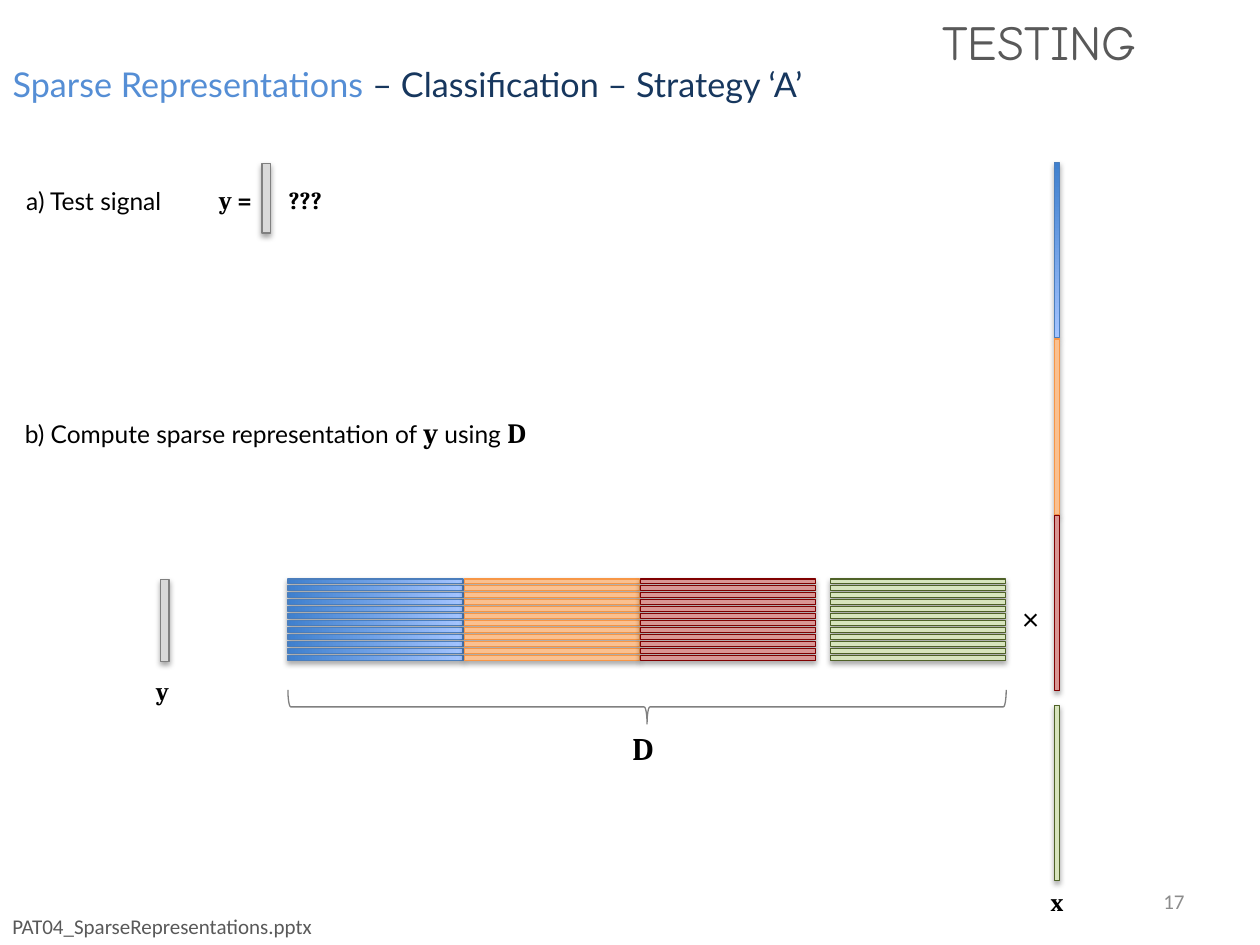
"""Build the slide on classification with sparse representations."""
from lxml import etree
from pptx import Presentation
from pptx.dml.color import RGBColor
from pptx.enum.shapes import MSO_SHAPE
from pptx.enum.text import MSO_ANCHOR, MSO_AUTO_SIZE, PP_ALIGN
from pptx.oxml.ns import qn
from pptx.util import Cm, Pt

RECTANGLE, BRACE = MSO_SHAPE.RECTANGLE, MSO_SHAPE.LEFT_BRACE
TOP, MIDDLE = MSO_ANCHOR.TOP, MSO_ANCHOR.MIDDLE
LEFT, RIGHT = PP_ALIGN.LEFT, PP_ALIGN.RIGHT
FIXED = MSO_AUTO_SIZE.NONE

COLORS = {
    "black": "000000", "gray": "595959", "number": "8C8C8C",
    "sky": "558ED5", "navy": "17375E",
    "signal": "D9D9D9", "signal line": "808080",
    "blue dark": "3F80CE", "blue light": "A4C4FF", "blue line": "4B7EBC",
    "orange": "FAC090", "orange line": "F79646",
    "red": "D99694", "red line": "800000",
    "green": "D7E4BD", "green line": "4F6228",
}

TITLE = [("Sparse Representations ", "sky"), ("– Classification – Strategy ‘A’", "navy")]
LABELS = [
    ("a) Test signal", (0.28, 3.63, 3.43, 0.86), "Lato", 14, False, "black"),
    ("y =\t???", (4.17, 3.61, 3.61, 0.86), "Cambria", 14, True, "black"),
    ("D", (12.5, 14.58, 1.09, 1.02), "Cambria", 18, True, "black"),
    ("y", (2.9, 13.51, 0.84, 0.86), "Cambria", 14, True, "black"),
    ("x", (20.93, 17.75, 0.84, 0.86), "Cambria", 14, True, "black"),
    ("×", (20.37, 11.96, 0.84, 1.02), "Calibri", 18, False, "black"),
    ("TESTING", (18.75, 0.1, 5.69, 1.45), "Comic Neue", 28, False, "gray"),
    ("PAT04_SparseRepresentations.pptx", (0, 18.29, 6.63, 0.76), "Calibri", 12, False, "gray"),
]
STEP_B = [
    ("b) Compute sparse representation of ", "Lato", 14, False),
    ("y", "Cambria", 16, True),
    (" using ", "Lato", 14, False),
    ("D", "Cambria", 16, True),
]
SIGNALS = [(5.28, 3.3, 0.18, 1.4), (3.23, 11.68, 0.18, 1.65)]

CLASSES = [
    (("blue dark", "blue light"), "blue line", 0),
    (("orange",), "orange line", 3.56),
    (("red",), "red line", 7.11),
    (("green",), "green line", 10.94),
]
BAR_WIDTH, BAR_LENGTH = 0.1, 3.53
ROWS, ROW_PITCH = 12, 0.14
DICTIONARY_X, DICTIONARY_Y = 7.57, 11.72
VECTOR_X, VECTOR_Y = 21.31, 5.04


def rgb(name):
    return RGBColor.from_string(COLORS[name])


def style_font(font, face, size, bold, color):
    font.name, font.size, font.bold = face, Pt(size), bold
    font.color.rgb = rgb(color)


def add_box(slide, place, anchor=TOP):
    box = slide.shapes.add_textbox(*map(Cm, place))
    box.text_frame.word_wrap = True
    box.text_frame.vertical_anchor = anchor
    return box.text_frame.paragraphs[0]


def add_label(slide, text, place, face, size, bold, color, anchor=TOP, align=LEFT):
    para = add_box(slide, place, anchor)
    para.alignment = align
    if "\t" in text:
        tabs = etree.SubElement(para._p.get_or_add_pPr(), qn("a:tabLst"))
        etree.SubElement(tabs, qn("a:tab"), pos=str(Cm(1.4)), algn="l")
    para.add_run().text = text
    if "\t" in text:
        para.text = text
    style_font(para.font, face, size, bold, color)


def add_bar(slide, place, fills, line, rotation=0):
    bar = slide.shapes.add_shape(RECTANGLE, *map(Cm, place))
    bar.rotation = rotation
    if len(fills) > 1:
        bar.fill.gradient()
        bar.fill.gradient_angle = 90
        for stop, fill, position in zip(bar.fill.gradient_stops, fills, (0, 1)):
            stop.color.rgb, stop.position = rgb(fill), position
    else:
        bar.fill.solid()
        bar.fill.fore_color.rgb = rgb(fills[0])
    bar.line.color.rgb, bar.line.width = rgb(line), Pt(0.75)
    bar.shadow.inherit = False
    effects = bar._element.spPr.find(qn("a:effectLst"))
    shadow = etree.SubElement(effects, qn("a:outerShdw"), blurRad=str(Pt(3.1)),
                              dist=str(Pt(1.8)), dir="5400000", rotWithShape="0")
    color = etree.SubElement(shadow, qn("a:srgbClr"), val=COLORS["black"])
    etree.SubElement(color, qn("a:alpha"), val="35000")


def add_class_bar(slide, center_x, center_y, fills, line, rotation):
    place = (center_x - BAR_WIDTH / 2, center_y - BAR_LENGTH / 2, BAR_WIDTH, BAR_LENGTH)
    add_bar(slide, place, fills, line, rotation)


def add_title(slide):
    title = slide.shapes.title
    title.left, title.top, title.width, title.height = map(Cm, (0, 0.1, 19.3, 3.2))
    frame = title.text_frame
    frame.auto_size, frame.vertical_anchor = FIXED, MIDDLE
    para = frame.paragraphs[0]
    para.alignment = LEFT
    for text, color in TITLE:
        span = para.add_run()
        span.text = text
        span.font.color.rgb = rgb(color)
    para.font.name, para.font.size = "Lato", Pt(19.5)


def main():
    deck = Presentation()
    deck.slide_width, deck.slide_height = Cm(25.4), Cm(19.05)
    slide = deck.slides.add_slide(deck.slide_layouts[5])
    add_title(slide)

    for place in SIGNALS:
        add_bar(slide, place, ("signal",), "signal line")
    for fills, line, offset in CLASSES:
        for row in range(ROWS):
            add_class_bar(slide, DICTIONARY_X + offset, DICTIONARY_Y + row * ROW_PITCH,
                          fills, line, 90)
        add_class_bar(slide, VECTOR_X, VECTOR_Y + offset, fills, line, 180)

    brace = slide.shapes.add_shape(BRACE, *map(Cm, (12.7, 7.01, 0.69, 14.48)))
    brace.rotation = 270
    brace.fill.background()
    brace.line.color.rgb, brace.line.width = rgb("signal line"), Pt(0.75)
    brace.shadow.inherit = False

    for label in LABELS:
        add_label(slide, *label)
    add_label(slide, "17", (18.21, 17.65, 5.92, 1.02), "Calibri", 12, False, "number",
              MIDDLE, RIGHT)
    para = add_box(slide, (0.25, 8.26, 11.07, 0.94))
    for text, face, size, bold in STEP_B:
        span = para.add_run()
        span.text = text
        style_font(span.font, face, size, bold, "black")
    deck.save("out.pptx")


if __name__ == "__main__":
    main()
